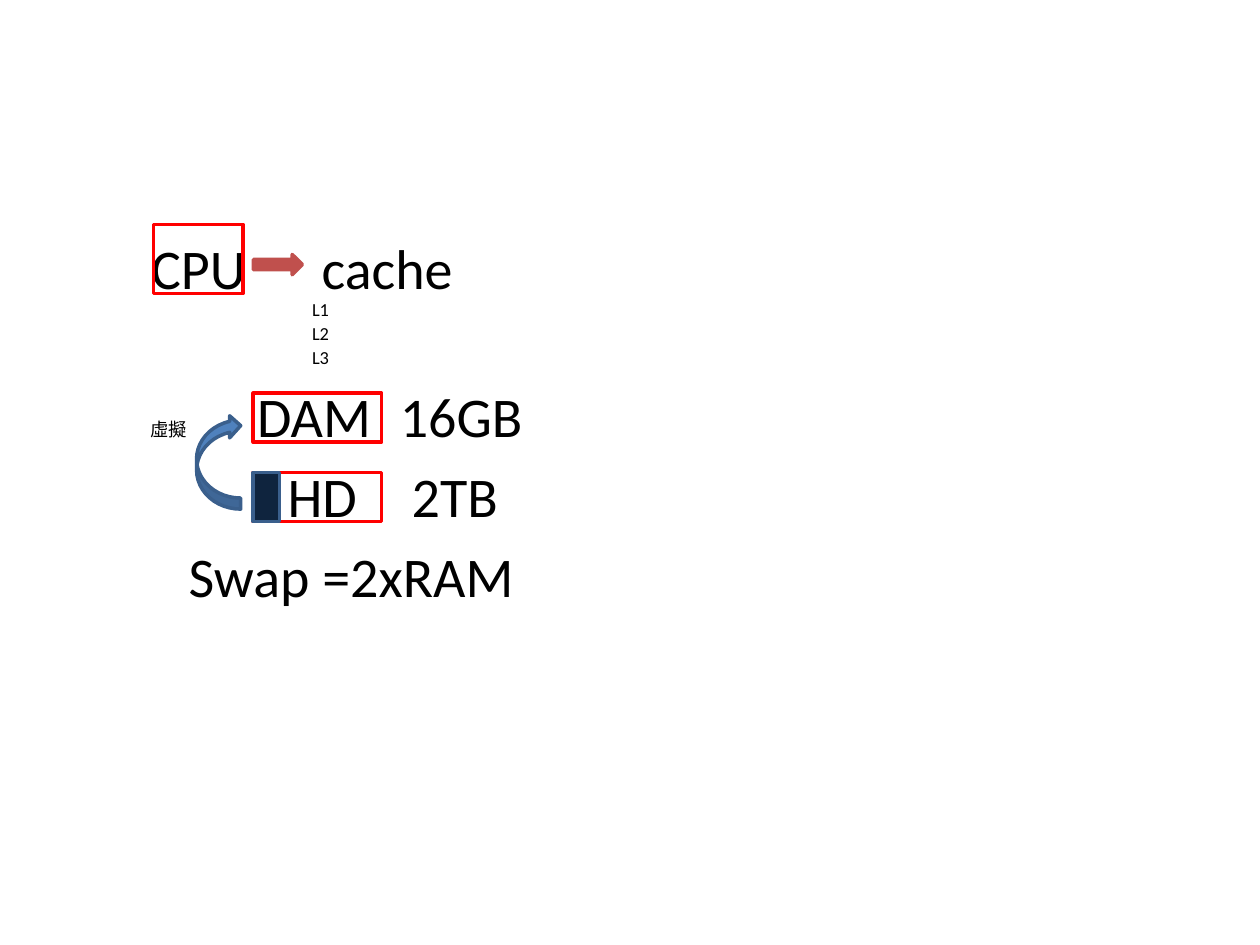
from pptx import Presentation
from pptx.dml.color import RGBColor
from pptx.enum.shapes import MSO_SHAPE as SHAPE
from pptx.enum.text import MSO_ANCHOR as ANCHOR
from pptx.util import Pt

COLORS = {"text": "000000", "frame": "FF0000", "cache": "C0504D",
          "swap": "4F81BD", "edge": "3A5F8C", "reserved": "0F243E"}
FONT = "Calibri"
BIG, SMALL = 32, 10.5
LINE_H = 39


def add_text(slide, x, y, w, h, text, size=BIG, anchor=ANCHOR.TOP,
             spacing=None, after=0):
    """Place a text box without margins, one paragraph per line of text."""
    tf = slide.shapes.add_textbox(Pt(x), Pt(y), Pt(w), Pt(h)).text_frame
    tf.word_wrap = True
    tf.vertical_anchor = anchor
    tf.margin_left = tf.margin_right = tf.margin_top = tf.margin_bottom = 0
    for i, line in enumerate(text.split("\n")):
        p = tf.add_paragraph() if i else tf.paragraphs[0]
        p.space_after = Pt(after)
        if spacing:
            p.line_spacing = Pt(spacing)
        r = p.add_run()
        r.text = line
        r.font.name = FONT
        r.font.size = Pt(size)
        r.font.color.rgb = RGBColor.from_string(COLORS["text"])


def add_box(slide, kind, x, y, w, h, line, fill=None):
    """Place a preset shape with a 2 pt outline and an optional fill."""
    sp = slide.shapes.add_shape(kind, Pt(x), Pt(y), Pt(w), Pt(h))
    sp.shadow.inherit = False
    sp.line.color.rgb = RGBColor.from_string(COLORS[line])
    sp.line.width = Pt(2)
    if fill:
        sp.fill.solid()
        sp.fill.fore_color.rgb = RGBColor.from_string(COLORS[fill])
    else:
        sp.fill.background()
    return sp


def add_cpu(slide, x, y, w, h):
    """Draw the framed CPU and the arrow to its cache levels."""
    add_text(slide, x - 1.5, y + 5, w + 8, LINE_H, "CPU")
    add_text(slide, x + 96, y + 5, 100, LINE_H, "cache")
    add_text(slide, x + 90.5, y + 45, 40, 42, "L1\nL2\nL3", size=SMALL,
             spacing=10, after=3.6)
    add_box(slide, SHAPE.RECTANGLE, x, y, w, h, "frame")
    add_box(slide, SHAPE.RIGHT_ARROW, x + 57, y + 17.2, 28, 11.6, "cache", "cache")


def add_store(slide, x, y, w, h, name, size, name_dx, size_dx):
    """Draw a framed storage device with its capacity to the right."""
    add_text(slide, x + name_dx, y - 6.3, w, LINE_H, name)
    add_text(slide, x + size_dx, y - 6.3, 100, LINE_H, size)
    add_box(slide, SHAPE.RECTANGLE, x, y, w, h, "frame")


def add_swap(slide, x, y, w, h):
    """Draw the virtual memory arrow with its label and the swap rule."""
    add_text(slide, x - 26.5, y + 0.5, 24, 16, "虛擬", size=SMALL,
             anchor=ANCHOR.MIDDLE)
    add_text(slide, x - 4.5, y + 72.5, 220, LINE_H, "Swap =2xRAM")
    sp = add_box(slide, SHAPE.CURVED_RIGHT_ARROW, x, y, w, h, "edge", "swap")
    sp.rotation = 180
    sp._element.spPr.xfrm.set("flipH", "1")


def main():
    """Build the memory hierarchy slide."""
    prs = Presentation()
    prs.slide_width, prs.slide_height = Pt(720), Pt(540)
    slide = prs.slides.add_slide(prs.slide_layouts[6])
    add_cpu(slide, 87.8, 128.2, 51.1, 39.6)
    x, y, w, h, pitch = 144.7, 224.6, 73.4, 28.1, 45.4
    add_store(slide, x, y, w, h, "DAM", "16GB", 2.2, 83.8)
    add_store(slide, x, y + pitch, w, h, "HD", "2TB", 19.6, 90.6)
    add_box(slide, SHAPE.RECTANGLE, x, y + pitch, 15.1, h, "edge", "reserved")
    add_swap(slide, 112.3, 236.9, 25.2, 54)
    prs.save("out.pptx")


if __name__ == "__main__":
    main()
